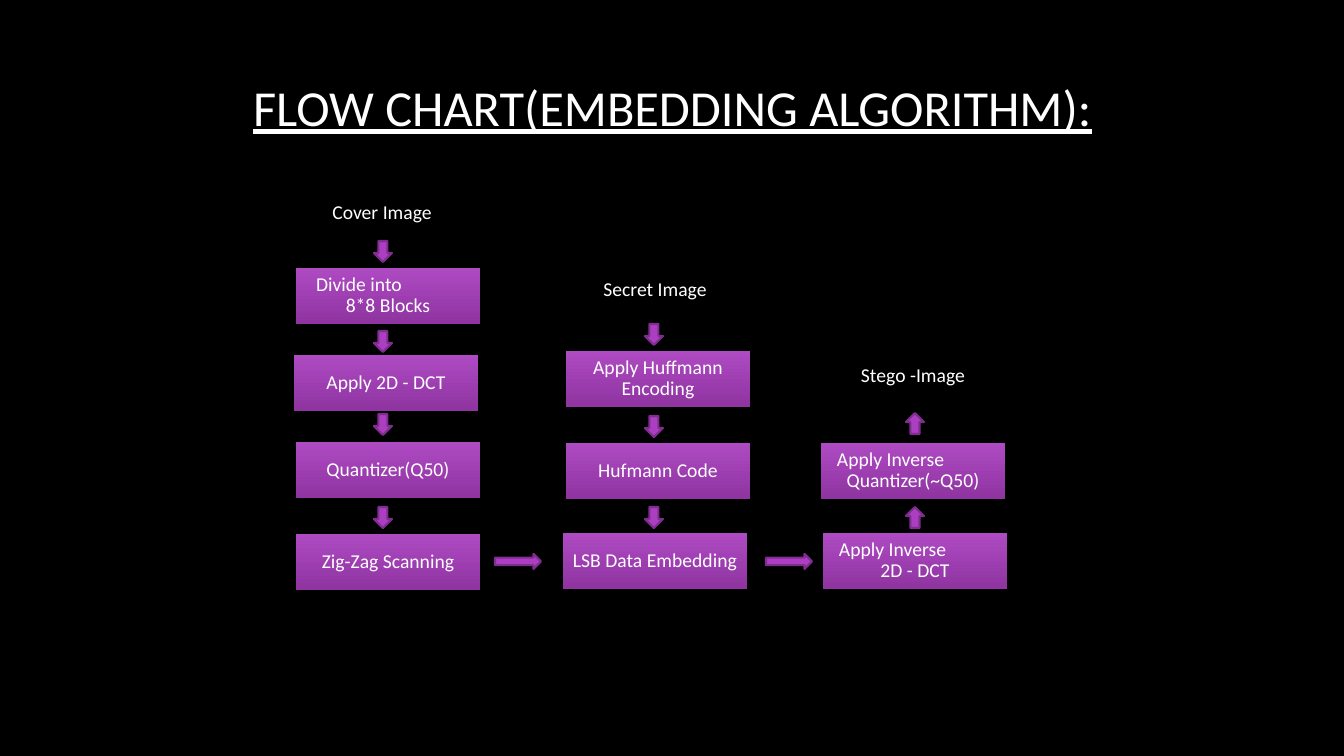
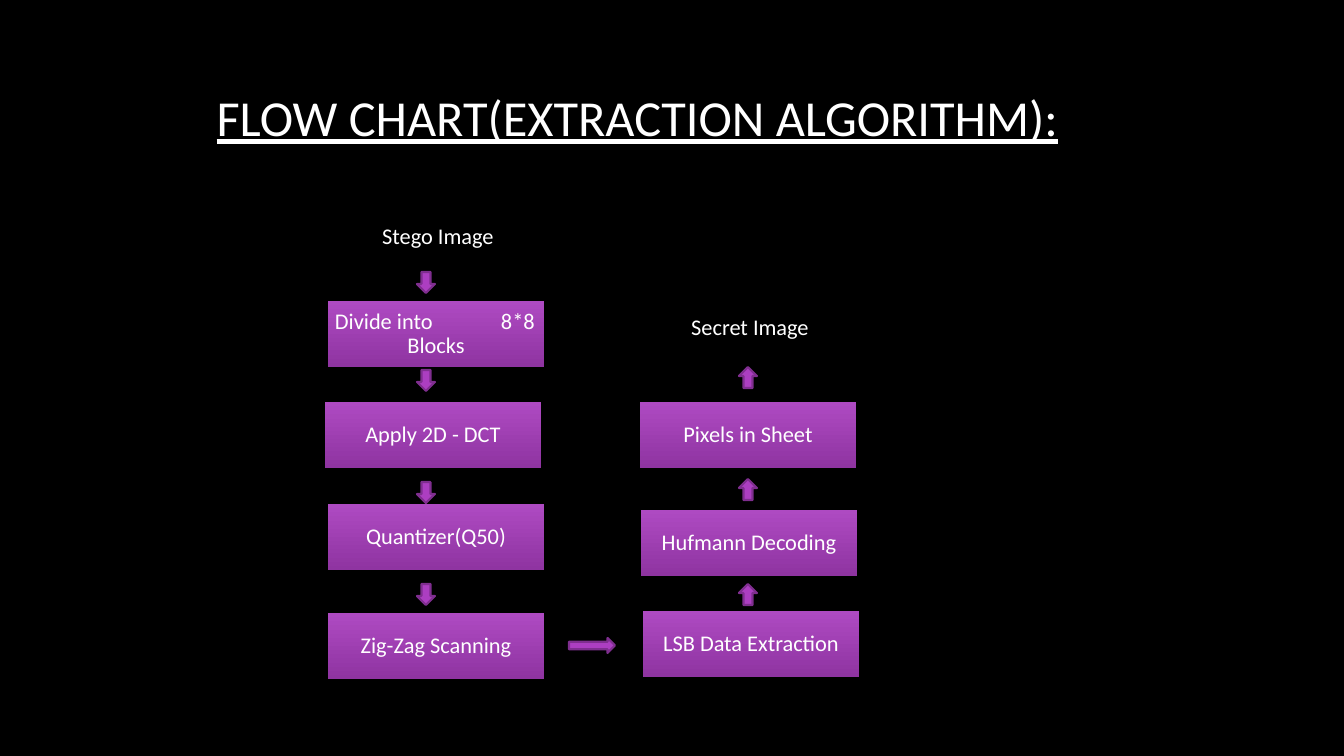
from dataclasses import dataclass

from lxml import etree
from pptx import Presentation
from pptx.dml.color import RGBColor
from pptx.enum.shapes import MSO_SHAPE
from pptx.enum.text import MSO_ANCHOR, PP_ALIGN
from pptx.oxml.ns import qn
from pptx.util import Pt

SLIDE_WIDTH, SLIDE_HEIGHT = 1344, 756
EMU_PER_PX = 12192000 / SLIDE_WIDTH

BLACK = RGBColor(0x00, 0x00, 0x00)
WHITE = RGBColor(0xFF, 0xFF, 0xFF)
STEP_TOP = RGBColor(0xAE, 0x4A, 0xC2)
STEP_BOTTOM = RGBColor(0x8F, 0x34, 0xA1)
ARROW_FILL = RGBColor(0xAC, 0x3E, 0xC1)
ARROW_LINE = RGBColor(0x7F, 0x2E, 0x8F)

FONT = "Calibri"
TITLE_SIZE = 36
TITLE_WIDTH, TITLE_HEIGHT = 1117, 160
ARROW_WIDTH, ARROW_HEIGHT = 18, 21
LINK_WIDTH, LINK_HEIGHT = 46, 15

RECTANGLE = MSO_SHAPE.RECTANGLE
DOWN = MSO_SHAPE.DOWN_ARROW
UP = MSO_SHAPE.UP_ARROW
RIGHT = MSO_SHAPE.RIGHT_ARROW
LEFT_ALIGN, CENTER = PP_ALIGN.LEFT, PP_ALIGN.CENTER
MIDDLE = MSO_ANCHOR.MIDDLE


@dataclass
class Line:
    """One line of a step: centred, or left-aligned when an indent is given."""
    text: str
    indent: int | None = None
    tab: int | None = None


@dataclass
class Column:
    """A label and its steps as (left, top, text), with the arrows between them."""
    label: tuple
    steps: list
    arrow: int
    arrow_left: int
    arrow_tops: list


@dataclass
class Chart:
    title: str
    title_at: tuple
    origin: tuple
    step_size: tuple
    inset: int
    font_size: int
    columns: list
    links: list


EMBEDDING = Chart(
    title="FLOW CHART(EMBEDDING ALGORITHM):",
    title_at=(114, 26), origin=(290, 185),
    step_size=(184, 56), inset=6, font_size=14,
    columns=[
        Column((0, 0, "Cover Image"),
               [(6, 83, [Line("Divide into", indent=14), Line("8*8 Blocks")]),
                (4, 170, "Apply 2D - DCT"),
                (6, 257, "Quantizer(Q50)"),
                (6, 349, "Zig-Zag Scanning")],
               DOWN, 84, [56, 146, 229, 322]),
        Column((273, 77, "Secret Image"),
               [(276, 166, "Apply Huffmann Encoding"),
                (276, 258, "Hufmann Code"),
                (273, 348, "LSB Data Embedding")],
               DOWN, 355, [139, 231, 322]),
        Column((531, 163, "Stego -Image"),
               [(531, 258, [Line("Apply Inverse", indent=10), Line("Quantizer(~Q50)")]),
                (533, 348, [Line("Apply Inverse", indent=10), Line("2D - DCT")])],
               UP, 616, [228, 322]),
    ],
    links=[(205, 369), (476, 369)],
)

EXTRACTION = Chart(
    title="FLOW CHART(EXTRACTION ALGORITHM):",
    title_at=(79, 36), origin=(325, 204),
    step_size=(216, 66), inset=7, font_size=16,
    columns=[
        Column((5, 0, "Stego Image"),
               [(3, 97, [Line("Divide into\t8*8", indent=0, tab=166), Line("Blocks")]),
                (0, 198, "Apply 2D - DCT"),
                (3, 300, "Quantizer(Q50)"),
                (3, 409, "Zig-Zag Scanning")],
               DOWN, 92, [68, 166, 278, 380]),
        Column((317, 91, "Secret Image"),
               [(315, 198, "Pixels in Sheet"),
                (316, 306, "Hufmann Decoding"),
                (318, 407, "LSB Data Extraction")],
               UP, 414, [163, 275, 380]),
    ],
    links=[(244, 434)],
)


def px(length):
    return round(length * EMU_PER_PX)


def add_run(paragraph, text, size, underline=False):
    run = paragraph.add_run()
    run.text = text
    run.font.name = FONT
    run.font.size = Pt(size)
    run.font.color.rgb = WHITE
    run.font.underline = underline


def add_preset(slide, preset, left, top, width, height):
    shape = slide.shapes.add_shape(preset, px(left), px(top), px(width), px(height))
    shape.shadow.inherit = False
    return shape


def set_tab(paragraph, position):
    properties = paragraph._p.get_or_add_pPr()
    tabs = etree.SubElement(properties, qn("a:tabLst"))
    etree.SubElement(tabs, qn("a:tab"), pos=str(px(position)), algn="l")


def write_lines(shape, lines, inset, size):
    frame = shape.text_frame
    frame.word_wrap = True
    frame.vertical_anchor = MIDDLE
    frame.margin_left = frame.margin_right = px(inset)
    frame.margin_top = frame.margin_bottom = px(inset)
    for index, line in enumerate(lines):
        paragraph = frame.add_paragraph() if index else frame.paragraphs[0]
        paragraph.line_spacing = 0.9
        paragraph.alignment = CENTER if line.indent is None else LEFT_ALIGN
        if line.indent:
            paragraph._p.get_or_add_pPr().set("marL", str(px(line.indent)))
        if line.tab:
            set_tab(paragraph, line.tab)
        add_run(paragraph, line.text, size)


def add_title(slide, text, left, top):
    box = slide.shapes.add_textbox(px(left), px(top), px(TITLE_WIDTH), px(TITLE_HEIGHT))
    frame = box.text_frame
    frame.word_wrap = True
    frame.vertical_anchor = MIDDLE
    paragraph = frame.paragraphs[0]
    paragraph.alignment = CENTER
    add_run(paragraph, text, TITLE_SIZE, underline=True)


def add_box(slide, chart, position):
    """Place a box with its text; the caller fills it."""
    left, top, text = position
    shape = add_preset(slide, RECTANGLE, chart.origin[0] + left,
                       chart.origin[1] + top, *chart.step_size)
    shape.line.fill.background()
    lines = [Line(text)] if isinstance(text, str) else text
    write_lines(shape, lines, chart.inset, chart.font_size)
    return shape


def add_label(slide, chart, position):
    fill = add_box(slide, chart, position).fill
    fill.solid()
    fill.fore_color.rgb = BLACK


def add_step(slide, chart, position):
    fill = add_box(slide, chart, position).fill
    fill.gradient()
    fill.gradient_angle = 270
    for stop, color in zip(fill.gradient_stops, (STEP_TOP, STEP_BOTTOM)):
        stop.color.rgb = color


def add_arrow(slide, chart, preset, left, top, width, height):
    shape = add_preset(slide, preset, chart.origin[0] + left,
                       chart.origin[1] + top, width, height)
    shape.fill.solid()
    shape.fill.fore_color.rgb = ARROW_FILL
    shape.line.color.rgb = ARROW_LINE
    shape.line.width = Pt(1.5)


def add_column(slide, chart, column):
    add_label(slide, chart, column.label)
    for step in column.steps:
        add_step(slide, chart, step)
    for top in column.arrow_tops:
        add_arrow(slide, chart, column.arrow, column.arrow_left, top,
                  ARROW_WIDTH, ARROW_HEIGHT)


def add_flow_chart_slide(presentation, chart):
    slide = presentation.slides.add_slide(presentation.slide_layouts[6])
    slide.background.fill.solid()
    slide.background.fill.fore_color.rgb = BLACK
    add_title(slide, chart.title, *chart.title_at)
    for column in chart.columns:
        add_column(slide, chart, column)
    for left, top in chart.links:
        add_arrow(slide, chart, RIGHT, left, top, LINK_WIDTH, LINK_HEIGHT)


def main():
    presentation = Presentation()
    presentation.slide_width = px(SLIDE_WIDTH)
    presentation.slide_height = px(SLIDE_HEIGHT)
    for chart in (EMBEDDING, EXTRACTION):
        add_flow_chart_slide(presentation, chart)
    presentation.save("out.pptx")


if __name__ == "__main__":
    main()
